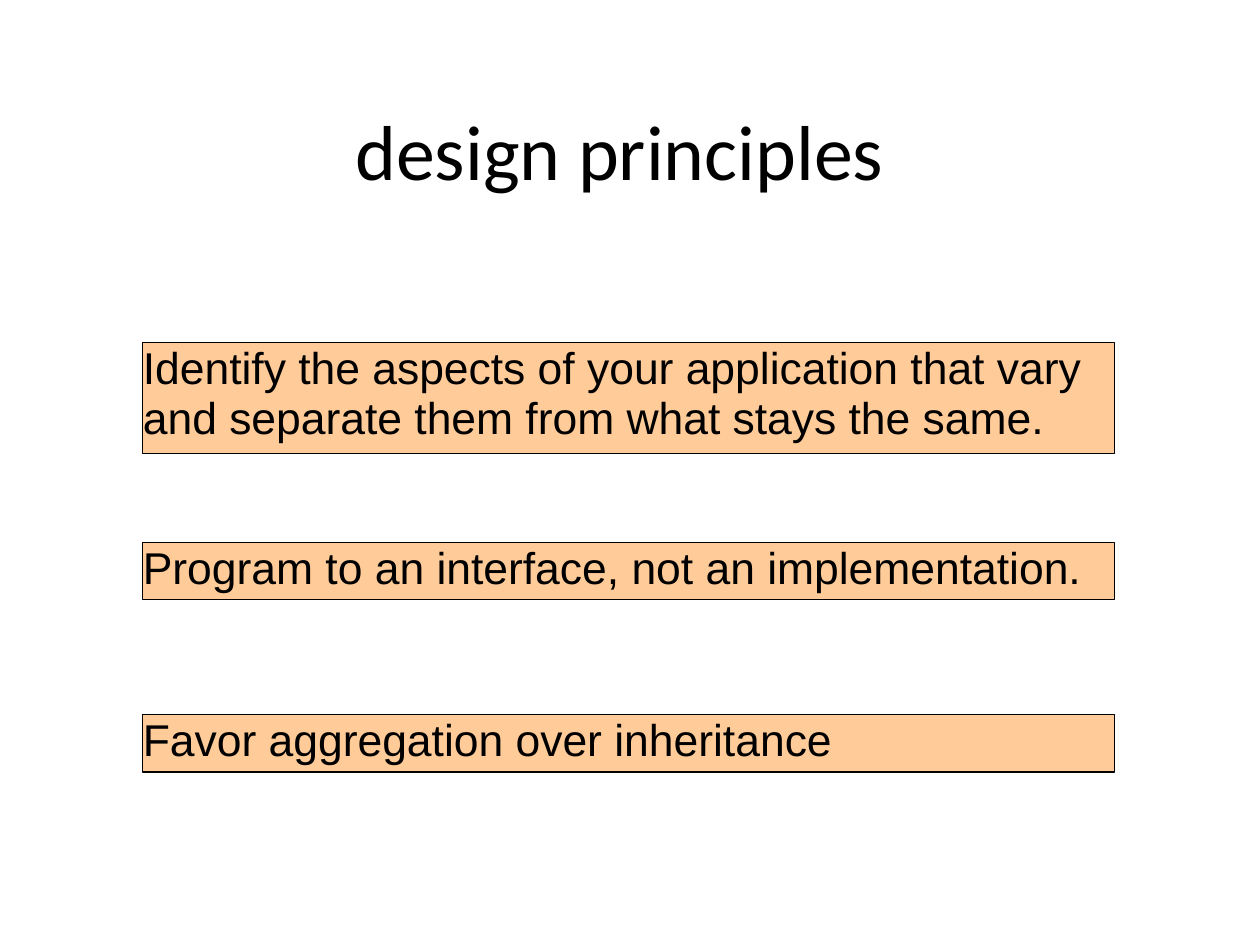
import dataclasses

import pptx
import pptx.dml.color
import pptx.enum.shapes
import pptx.enum.text
import pptx.presentation
import pptx.slide
import pptx.text.text
import pptx.util


@dataclasses.dataclass(frozen=True)
class Theme:
    ink: str = "000000"
    background: str = "FFFFFF"
    panel: str = "FFCC99"
    title_font: str = "Calibri"
    body_font: str = "Arial"
    title_size: float = 49
    body_size: float = 28
    border_width: float = 0.75


@dataclasses.dataclass(frozen=True)
class Principle:
    text: str
    top: float
    height: float


THEME = Theme()
PANEL_LEFT = 90
PANEL_WIDTH = 612
PRINCIPLES = (
    Principle(
        "Identify the aspects of your application that vary and separate them from what stays the same.",
        215.5,
        69.8,
    ),
    Principle("Program to an interface, not an implementation.", 341.5, 36),
    Principle("Favor aggregation over inheritance", 450, 36),
)


def color(value: str) -> pptx.dml.color.RGBColor:
    return pptx.dml.color.RGBColor.from_string(value)


def set_insets(frame: pptx.text.text.TextFrame, left: float, top: float, right: float, bottom: float) -> None:
    frame.margin_left = pptx.util.Pt(left)
    frame.margin_top = pptx.util.Pt(top)
    frame.margin_right = pptx.util.Pt(right)
    frame.margin_bottom = pptx.util.Pt(bottom)
    frame.word_wrap = True
    frame.auto_size = pptx.enum.text.MSO_AUTO_SIZE.NONE


def add_run(paragraph: pptx.text.text._Paragraph, text: str, font: str, size: float) -> None:
    run = paragraph.add_run()
    run.text = text
    run.font.name = font
    run.font.size = pptx.util.Pt(size)
    run.font.color.rgb = color(THEME.ink)


def fill_title(slide: pptx.slide.Slide, text: str) -> None:
    title = slide.shapes.title
    title.left, title.top = pptx.util.Pt(57), pptx.util.Pt(54)
    title.width, title.height = pptx.util.Pt(666), pptx.util.Pt(80.5)
    frame = title.text_frame
    set_insets(frame, 8, 4, 8, 4)
    frame.vertical_anchor = pptx.enum.text.MSO_ANCHOR.MIDDLE
    paragraph = frame.paragraphs[0]
    paragraph.alignment = pptx.enum.text.PP_ALIGN.CENTER
    add_run(paragraph, text, THEME.title_font, THEME.title_size)


def add_principle(slide: pptx.slide.Slide, principle: Principle) -> None:
    panel = slide.shapes.add_shape(
        pptx.enum.shapes.MSO_SHAPE.RECTANGLE,
        pptx.util.Pt(PANEL_LEFT),
        pptx.util.Pt(principle.top),
        pptx.util.Pt(PANEL_WIDTH),
        pptx.util.Pt(principle.height),
    )
    panel.shadow.inherit = False
    panel.fill.solid()
    panel.fill.fore_color.rgb = color(THEME.panel)
    panel.line.color.rgb = color(THEME.ink)
    panel.line.width = pptx.util.Pt(THEME.border_width)
    frame = panel.text_frame
    set_insets(frame, 0, 1.5, 0, 0)
    frame.vertical_anchor = pptx.enum.text.MSO_ANCHOR.TOP
    paragraph = frame.paragraphs[0]
    paragraph.alignment = pptx.enum.text.PP_ALIGN.LEFT
    paragraph.line_spacing = 0.93
    paragraph.space_before = pptx.util.Pt(5.8)
    paragraph.space_after = pptx.util.Pt(5.8)
    add_run(paragraph, principle.text, THEME.body_font, THEME.body_size)


def main() -> None:
    presentation: pptx.presentation.Presentation = pptx.Presentation()
    presentation.slide_width = pptx.util.Pt(793.5)
    presentation.slide_height = pptx.util.Pt(595.5)
    slide = presentation.slides.add_slide(presentation.slide_layouts.get_by_name("Title Only"))
    slide.background.fill.solid()
    slide.background.fill.fore_color.rgb = color(THEME.background)
    fill_title(slide, "design principles")
    for principle in PRINCIPLES:
        add_principle(slide, principle)
    presentation.save("out.pptx")


if __name__ == "__main__":
    main()
